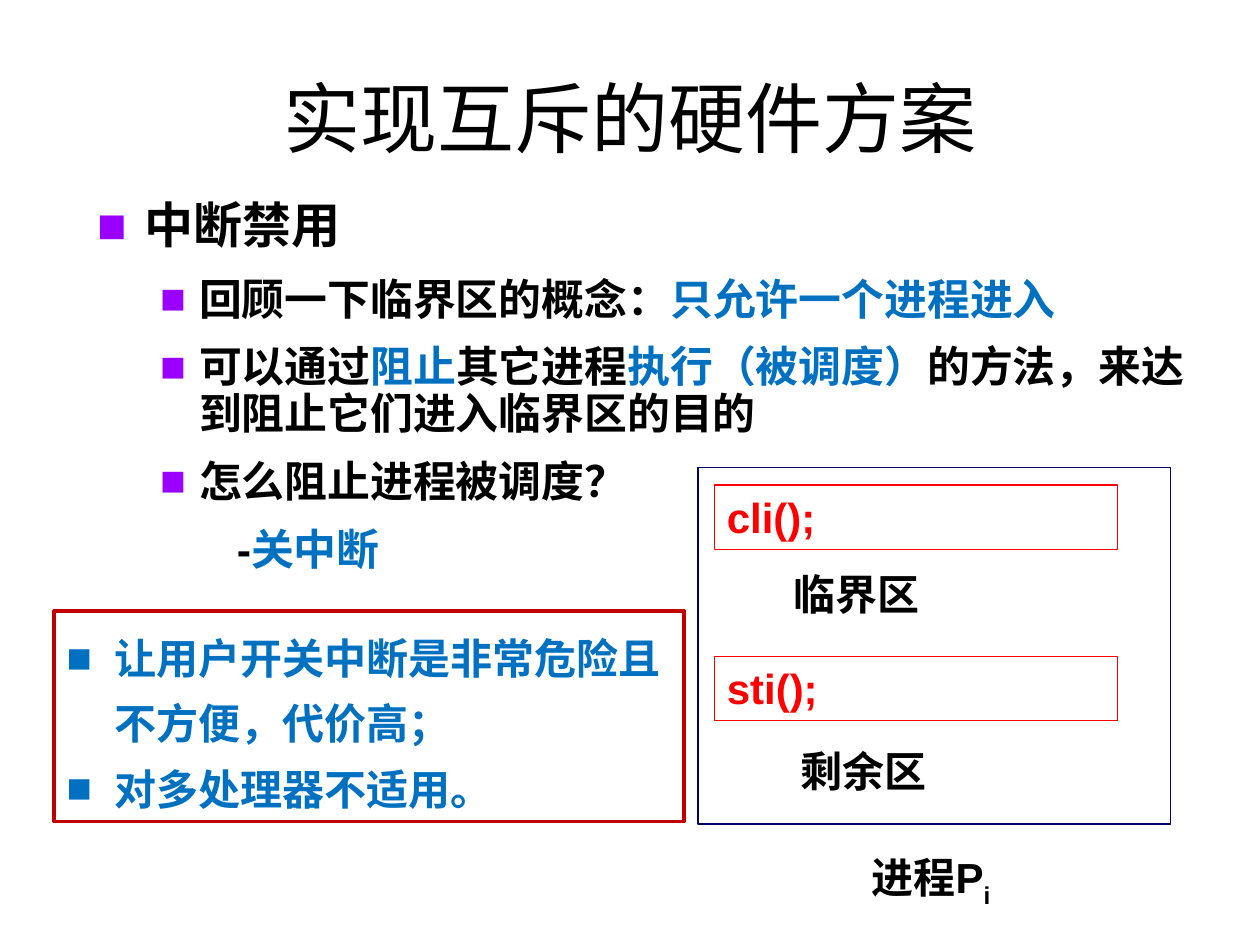
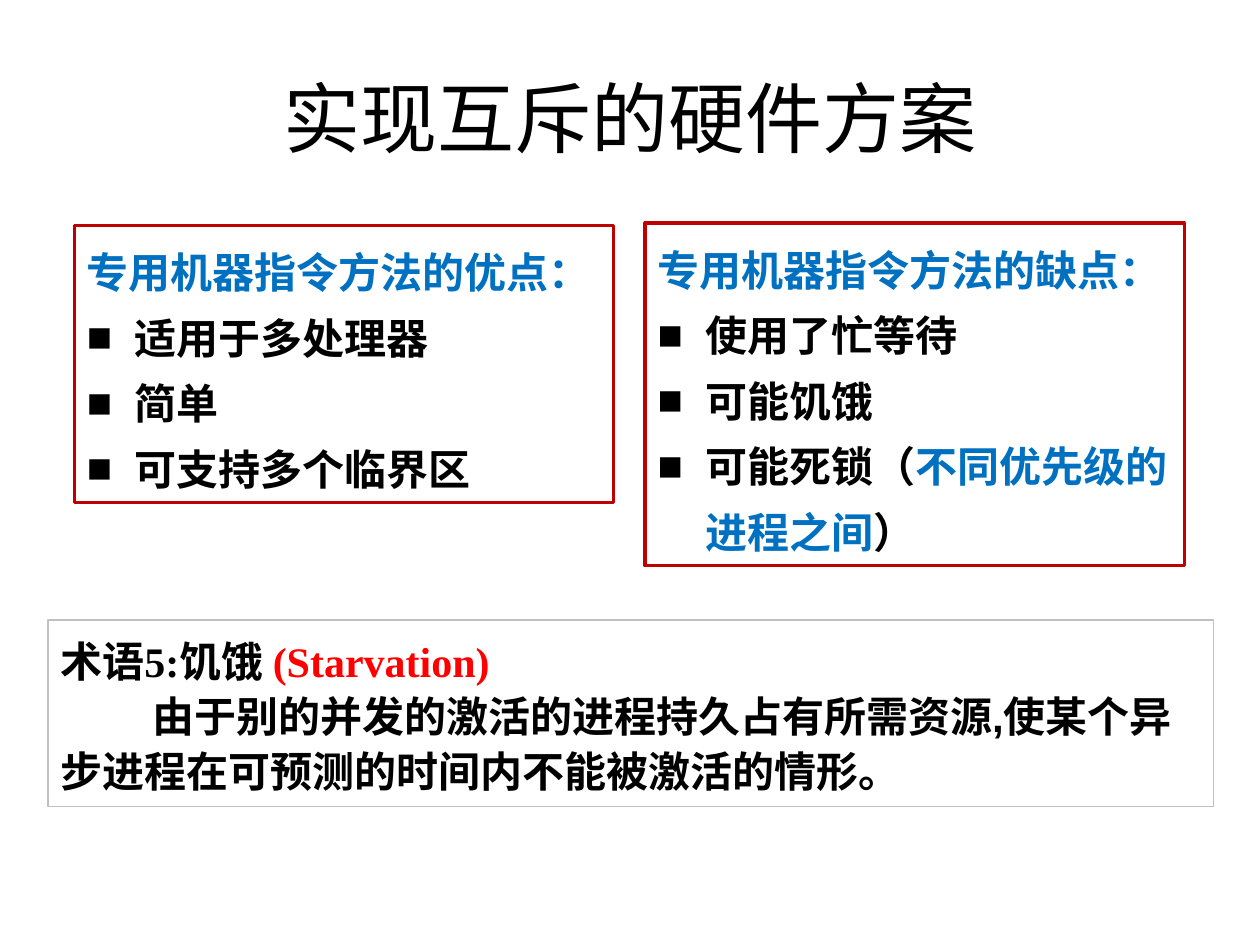
from dataclasses import dataclass
from typing import Optional

from lxml import etree
from pptx import Presentation
from pptx.dml.color import RGBColor
from pptx.enum.shapes import MSO_SHAPE
from pptx.enum.text import MSO_ANCHOR, MSO_AUTO_SIZE, PP_ALIGN
from pptx.oxml.ns import qn
from pptx.util import Inches, Pt

RECTANGLE = MSO_SHAPE.RECTANGLE
TOP, MIDDLE = MSO_ANCHOR.TOP, MSO_ANCHOR.MIDDLE
LEFT, CENTER = PP_ALIGN.LEFT, PP_ALIGN.CENTER
NO_AUTOFIT = MSO_AUTO_SIZE.NONE

SLIDE_WIDTH, SLIDE_HEIGHT = Inches(10), Inches(7.5)
COLUMNS, ROWS = 100, 75
COLUMN, ROW = SLIDE_WIDTH // COLUMNS, SLIDE_HEIGHT // ROWS
TITLE_AND_CONTENT, TITLE_ONLY = 1, 5


@dataclass(frozen=True)
class Theme:
    ink: str = "000000"
    blue: str = "0070C0"
    red: str = "FF0000"
    crimson: str = "C00000"
    navy: str = "000066"
    silver: str = "C0C0C0"
    purple: str = "9900FF"
    latin: str = "Arial"
    serif: str = "Times New Roman"
    chinese: str = "Noto Sans CJK SC"
    title_size: float = 44
    heading_size: float = 28
    point_size: float = 24.5
    box_size: float = 24
    hairline: float = 0.75
    frame_line: float = 2


THEME = Theme()


@dataclass(frozen=True)
class Area:
    column: float
    row: float
    columns: float
    rows: float

    def emu(self) -> tuple[int, int, int, int]:
        return (round(self.column * COLUMN), round(self.row * ROW),
                round(self.columns * COLUMN), round(self.rows * ROW))


@dataclass(frozen=True)
class Span:
    text: str
    color: Optional[str] = None
    baseline: int = 0


@dataclass(frozen=True)
class Line:
    spans: tuple[Span, ...]
    size: float = THEME.box_size
    color: str = THEME.ink
    font: str = THEME.latin
    bold: bool = True
    align: PP_ALIGN = LEFT
    level: int = 0
    margin: float = 0
    indent: float = 0
    bullet: Optional[str] = None
    spacing: float = 1.0
    before: float = 0
    after: float = 0


@dataclass(frozen=True)
class Border:
    color: str
    width: float = THEME.hairline


@dataclass(frozen=True)
class Box:
    area: Area
    lines: tuple[Line, ...] = ()
    border: Optional[Border] = None
    anchor: MSO_ANCHOR = TOP


def set_bullet(properties, color: Optional[str]) -> None:
    if color is None:
        etree.SubElement(properties, qn("a:buNone"))
        return
    bullet_color = etree.SubElement(properties, qn("a:buClr"))
    etree.SubElement(bullet_color, qn("a:srgbClr"), val=color)
    etree.SubElement(properties, qn("a:buFont"), typeface=THEME.latin)
    etree.SubElement(properties, qn("a:buChar"), char="■")


def write_line(paragraph, line: Line) -> None:
    properties = paragraph._p.get_or_add_pPr()
    properties.set("marL", str(round(line.margin * COLUMN)))
    properties.set("indent", str(round(line.indent * COLUMN)))
    set_bullet(properties, line.bullet)
    paragraph.level = line.level
    paragraph.alignment = line.align
    paragraph.line_spacing = line.spacing
    paragraph.space_before = Pt(line.before)
    paragraph.space_after = Pt(line.after)
    font = paragraph.font
    font.size = Pt(line.size)
    font.bold = line.bold
    font.name = line.font
    font.color.rgb = RGBColor.from_string(line.color)
    etree.SubElement(properties.find(qn("a:defRPr")), qn("a:ea"), typeface=THEME.chinese)
    for span in line.spans:
        run = paragraph.add_run()
        run.text = span.text
        if span.color:
            run.font.color.rgb = RGBColor.from_string(span.color)
        if span.baseline:
            run._r.get_or_add_rPr().set("baseline", str(span.baseline * 1000))


def write_lines(frame, lines: tuple[Line, ...], anchor: MSO_ANCHOR = TOP) -> None:
    frame.word_wrap = True
    frame.auto_size = NO_AUTOFIT
    frame.vertical_anchor = anchor
    for index, line in enumerate(lines):
        write_line(frame.add_paragraph() if index else frame.paragraphs[0], line)


def fill_placeholder(placeholder, box: Box) -> None:
    placeholder.left, placeholder.top, placeholder.width, placeholder.height = box.area.emu()
    write_lines(placeholder.text_frame, box.lines, box.anchor)


def draw_box(slide, box: Box) -> None:
    if box.border:
        shape = slide.shapes.add_shape(RECTANGLE, *box.area.emu())
        shape.shadow.inherit = False
        shape.fill.background()
        shape.line.color.rgb = RGBColor.from_string(box.border.color)
        shape.line.width = Pt(box.border.width)
    else:
        shape = slide.shapes.add_textbox(*box.area.emu())
    if box.lines:
        write_lines(shape.text_frame, box.lines, box.anchor)


def add_titled_slide(deck, layout: int):
    slide = deck.slides.add_slide(deck.slide_layouts[layout])
    title = Line((Span("实现互斥的硬件方案"),), THEME.title_size, font=THEME.chinese,
                 bold=False, align=CENTER)
    fill_placeholder(slide.shapes.title, Box(Area(5, 3, 90, 12.5), (title,), anchor=MIDDLE))
    return slide


def outline_point(*spans: Span, margin: float = 8.1, indent: float = -3.1,
                  bullet: Optional[str] = THEME.purple) -> Line:
    return Line(spans, THEME.point_size, level=1, margin=margin, indent=indent,
                bullet=bullet, spacing=0.9, before=5, after=7.4)


def framed_heading(text: str) -> Line:
    return Line((Span(text),), color=THEME.blue, spacing=1.3)


def framed_point(*spans: Span, color: str = THEME.ink) -> Line:
    return Line(spans, color=color, margin=3.8, indent=-3.8, bullet=color, spacing=1.3)


def framed_box(area: Area, *lines: Line) -> Box:
    return Box(area, lines, Border(THEME.crimson, THEME.frame_line))


def instruction_box(row: float, call: str) -> Box:
    return Box(Area(56.7, row, 32, 5.1), (Line((Span(call),), color=THEME.red),),
               Border(THEME.red))


def caption(area: Area, *spans: Span) -> Box:
    return Box(area, (Line(spans, align=CENTER),))


def build_interrupt_slide(deck) -> None:
    slide = add_titled_slide(deck, TITLE_AND_CONTENT)
    outline = (
        Line((Span("中断禁用"),), THEME.heading_size, margin=3.8, indent=-3.8,
             bullet=THEME.purple, spacing=0.9, after=8.4),
        outline_point(Span("回顾一下临界区的概念："), Span("只允许一个进程进入", THEME.blue)),
        outline_point(Span("可以通过"), Span("阻止", THEME.blue), Span("其它进程"),
                      Span("执行（被调度）", THEME.blue),
                      Span("的方法，来达到阻止它们进入临界区的目的")),
        outline_point(Span("怎么阻止进程被调度？")),
        outline_point(Span("-"), Span("关中断", THEME.blue), margin=11.1, indent=0, bullet=None),
    )
    fill_placeholder(slide.placeholders[1], Box(Area(6.7, 15.5, 90, 48.9), outline))
    process_boxes = (
        Box(Area(55.4, 37.1, 37.5, 28.3), border=Border(THEME.navy)),
        instruction_box(38.5, "cli();"),
        caption(Area(57, 44.6, 21.9, 5), Span("临界区")),
        instruction_box(52.1, "sti();"),
        caption(Area(57.6, 58.7, 21.9, 5), Span("剩余区")),
        caption(Area(60.4, 67.1, 27, 5), Span("进程P"), Span("i", baseline=-25)),
    )
    drawbacks = framed_box(
        Area(4.3, 48.5, 50, 16.7),
        framed_point(Span("让用户开关中断是非常危险且不方便，代价高；"), color=THEME.blue),
        framed_point(Span("对多处理器不适用。"), color=THEME.blue),
    )
    for box in (*process_boxes, drawbacks):
        draw_box(slide, box)


def build_instruction_slide(deck) -> None:
    slide = add_titled_slide(deck, TITLE_ONLY)
    advantages = framed_box(
        Area(5.9, 17.9, 42.8, 22),
        framed_heading("专用机器指令方法的优点："),
        *(framed_point(Span(text)) for text in ("适用于多处理器", "简单", "可支持多个临界区")),
    )
    disadvantages = framed_box(
        Area(51.2, 17.7, 42.8, 27.2),
        framed_heading("专用机器指令方法的缺点："),
        framed_point(Span("使用了忙等待")),
        framed_point(Span("可能饥饿")),
        framed_point(Span("可能死锁（"), Span("不同优先级的进程之间", THEME.blue), Span("）")),
    )
    starvation_term = Box(Area(3.8, 49.2, 92.5, 14.8), (
        Line((Span("术语5:饥饿 "), Span("(Starvation)", THEME.red)),
             font=THEME.serif, spacing=1.1),
        Line((Span("由于别的并发的激活的进程持久占有所需资源,使某个异步进程"
                   "在可预测的时间内不能被激活的情形。"),), indent=7.3, spacing=1.1),
    ), Border(THEME.silver), MIDDLE)
    for box in (advantages, disadvantages, starvation_term):
        draw_box(slide, box)


def main() -> None:
    deck = Presentation()
    deck.slide_width, deck.slide_height = SLIDE_WIDTH, SLIDE_HEIGHT
    build_interrupt_slide(deck)
    build_instruction_slide(deck)
    deck.save("out.pptx")


if __name__ == "__main__":
    main()
